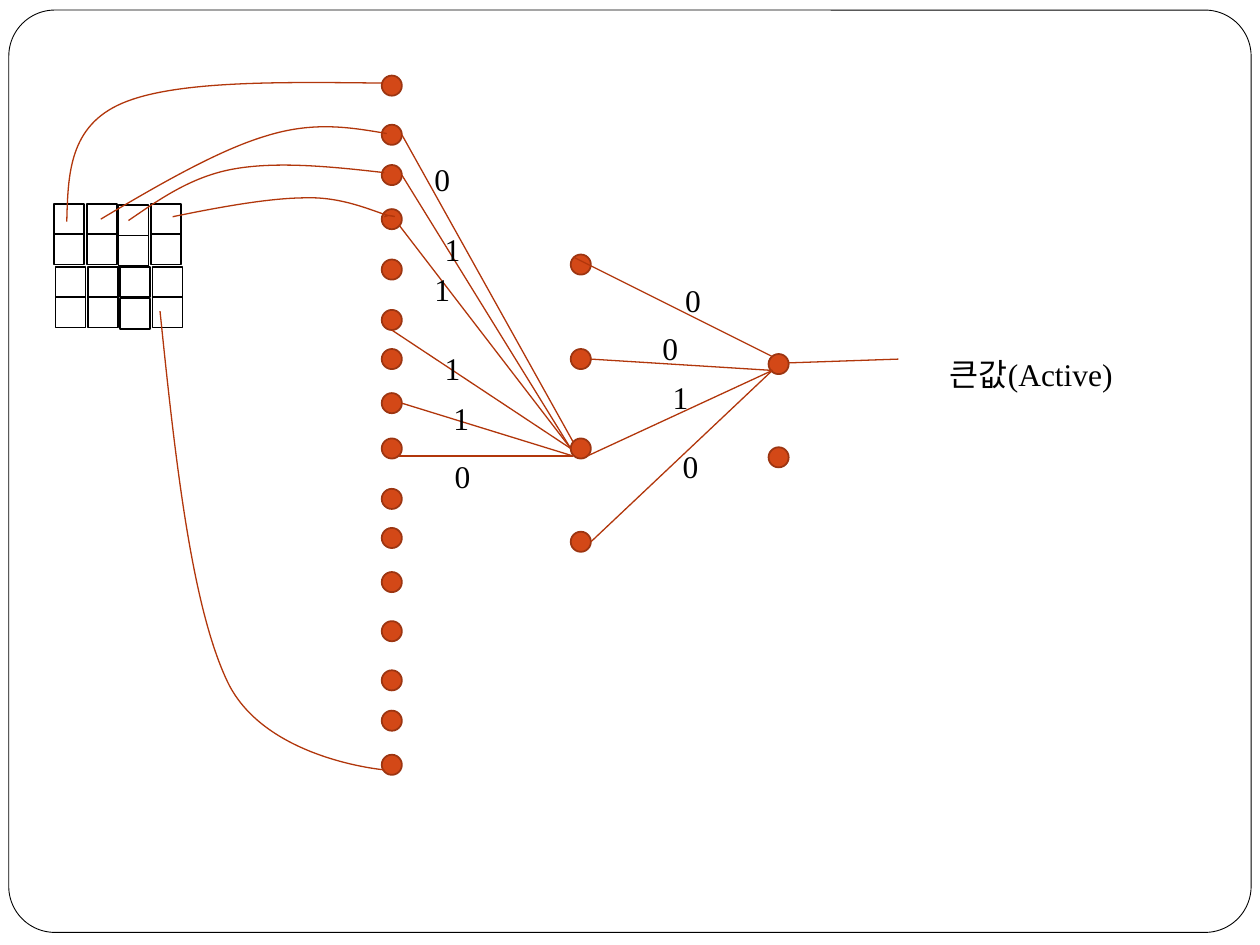
from lxml import etree
from pptx import Presentation
from pptx import util as u
from pptx.dml.color import RGBColor
from pptx.enum import shapes, text
from pptx.oxml.ns import qn

COLORS = {"paper": "FFFFFF", "ink": "000000", "node": "D34817",
          "node_edge": "9C3511", "link": "B1360B"}
FONT = {"name": "Times New Roman", "size": u.Pt(18)}
FRAME_FORMAT = {"word_wrap": False, "auto_size": text.MSO_AUTO_SIZE.SHAPE_TO_FIT_TEXT}
CELL, NODE = 0.24, 0.16

# Node columns: left edge -> top edges
NODES = {
    3.03: [0.6, 0.99, 1.31, 1.66, 2.06, 2.46, 2.77, 3.12,
           3.48, 3.88, 4.19, 4.54, 4.93, 5.32, 5.64, 5.99],
    4.53: [2.02, 2.77, 3.48, 4.22],
    6.1: [2.81, 3.55],
}

# Straight links: x1, y1, x2, y2
OUTPUT_LINKS = [(4.55, 2.04, 6.13, 2.83), (4.69, 2.85, 6.13, 2.94),
                (4.66, 3.62, 6.13, 2.94), (4.69, 4.3, 6.13, 2.94),
                (6.26, 2.88, 7.13, 2.85)]
HIDDEN_LINKS = [(3.19, 1.07, 4.55, 3.51), (3.19, 1.39, 4.53, 3.56),
                (3.17, 1.79, 4.53, 3.56), (3.11, 2.62, 4.53, 3.56),
                (3.19, 3.2, 4.55, 3.62), (3.17, 3.62, 4.55, 3.62)]

# Labels: text, left, top, width
OUTPUT_LABELS = [("큰값(Active)", 7.44, 2.77, 1.55)] + [
    (weight, x, y, 0.34) for weight, x, y in [
        ("0", 5.34, 2.18), ("0", 5.16, 2.56), ("1", 5.24, 2.95), ("0", 5.32, 3.5)]]
HIDDEN_LABELS = [
    (weight, x, y, 0.34) for weight, x, y in [
        ("0", 3.35, 1.22), ("0", 3.51, 3.58), ("1", 3.43, 1.78),
        ("1", 3.35, 2.09), ("1", 3.43, 2.72), ("1", 3.5, 3.12)]]

# Curves from grid cells to input nodes: a start, then three points per Bezier piece
CURVES = [
    [(0.53, 1.76), (0.54, 1.38), (0.55, 1), (0.97, 0.82),
     (1.39, 0.64), (2.21, 0.65), (3.04, 0.66)],
    [(0.8, 1.74), (1.27, 1.46), (1.74, 1.19), (2.11, 1.08),
     (2.49, 0.96), (2.78, 1.01), (3.07, 1.06)],
    [(1.37, 1.72), (1.76, 1.64), (2.15, 1.57), (2.43, 1.57),
     (2.72, 1.56), (2.97, 1.68), (3.08, 1.71),
     (3.19, 1.73), (3.1, 1.71), (3.09, 1.71),
     (3.09, 1.71), (3.07, 1.71), (3.05, 1.72)],
    [(1.02, 1.75), (1.27, 1.58), (1.52, 1.4), (1.86, 1.34),
     (2.2, 1.28), (2.62, 1.32), (3.05, 1.37)],
    [(1.27, 2.47), (1.39, 3.64), (1.52, 4.82), (1.81, 5.42),
     (2.11, 6.03), (3.05, 6.11), (3.05, 6.11)],
]


def rgb(key):
    return RGBColor.from_string(COLORS[key])


def set_line(sp, color, width):
    sp.line.color.rgb = rgb(color)
    sp.line.width = u.Pt(width)


def add_box(s, kind, x, y, w, h, fill, line, width=1):
    sp = s.shapes.add_shape(kind, *map(u.Inches, (x, y, w, h)))
    sp.shadow.inherit = False
    sp.fill.solid()
    sp.fill.fore_color.rgb = rgb(fill)
    set_line(sp, line, width)
    return sp


def add_link(s, *ends):
    sp = s.shapes.add_connector(shapes.MSO_CONNECTOR.STRAIGHT, *map(u.Inches, ends))
    set_line(sp, "link", 0.75)
    etree.SubElement(sp._element.spPr, qn("a:effectLst"))


def add_label(s, label, x, y, w):
    tf = s.shapes.add_textbox(*map(u.Inches, (x, y, w, 0.4))).text_frame
    for name, value in FRAME_FORMAT.items():
        setattr(tf, name, value)
    r = tf.paragraphs[0].add_run()
    r.text = label
    for name, value in FONT.items():
        setattr(r.font, name, value)
    r.font.color.rgb = rgb("ink")


def add_curve(s, points):
    points = [(u.Inches(x), u.Inches(y)) for x, y in points]
    builder = s.shapes.build_freeform(*points[0])
    builder.add_line_segments(points[3::3], close=False)
    sp = builder.convert_to_shape()
    sp.shadow.inherit = False
    sp.fill.background()
    set_line(sp, "link", 0.75)
    # Turn each straight segment into a Bezier piece
    for i, segment in enumerate(list(sp._element.iter(qn("a:lnTo")))):
        segment.tag = qn("a:cubicBezTo")
        segment.remove(segment[0])
        for x, y in points[3 * i + 1:3 * i + 4]:
            etree.SubElement(segment, qn("a:pt"), x=str(x - sp.left), y=str(y - sp.top))


def add_grid(s):
    for row, y in enumerate((1.62, 1.86, 2.12, 2.36)):
        for col, x in enumerate((0.43, 0.69, 0.94, 1.2)):
            dx = 0.01 if row > 1 else 0  # lower half sits slightly right
            dy = 0.01 if col == 2 and row != 2 else 0  # third column sits slightly low
            add_box(s, shapes.MSO_SHAPE.RECTANGLE, x + dx, y + dy, CELL, CELL,
                    "paper", "ink")


def add_master_frame(prs, s):
    frame = add_box(s, shapes.MSO_SHAPE.ROUNDED_RECTANGLE, 0.07, 0.08, 9.86, 7.32,
                    "paper", "ink", 0.5)
    frame.adjustments[0] = 0.05
    prs.slide_master.shapes._spTree.insert(2, frame._element)


def main():
    prs = Presentation()
    prs.slide_width, prs.slide_height = u.Inches(10), u.Inches(7.5)
    s = prs.slides.add_slide(prs.slide_layouts[6])

    # Rounded page frame, kept on the master
    add_master_frame(prs, s)

    # Input grid and network nodes
    add_grid(s)
    for x, tops in NODES.items():
        for y in tops:
            add_box(s, shapes.MSO_SHAPE.OVAL, x, y, NODE, NODE, "node", "node_edge")

    # Links and weights, output layer first
    for links, labels in ((OUTPUT_LINKS, OUTPUT_LABELS), (HIDDEN_LINKS, HIDDEN_LABELS)):
        for link in links:
            add_link(s, *link)
        for label in labels:
            add_label(s, *label)

    # Curves from the grid to the input nodes
    for curve in CURVES:
        add_curve(s, curve)

    prs.save("out.pptx")


if __name__ == "__main__":
    main()
